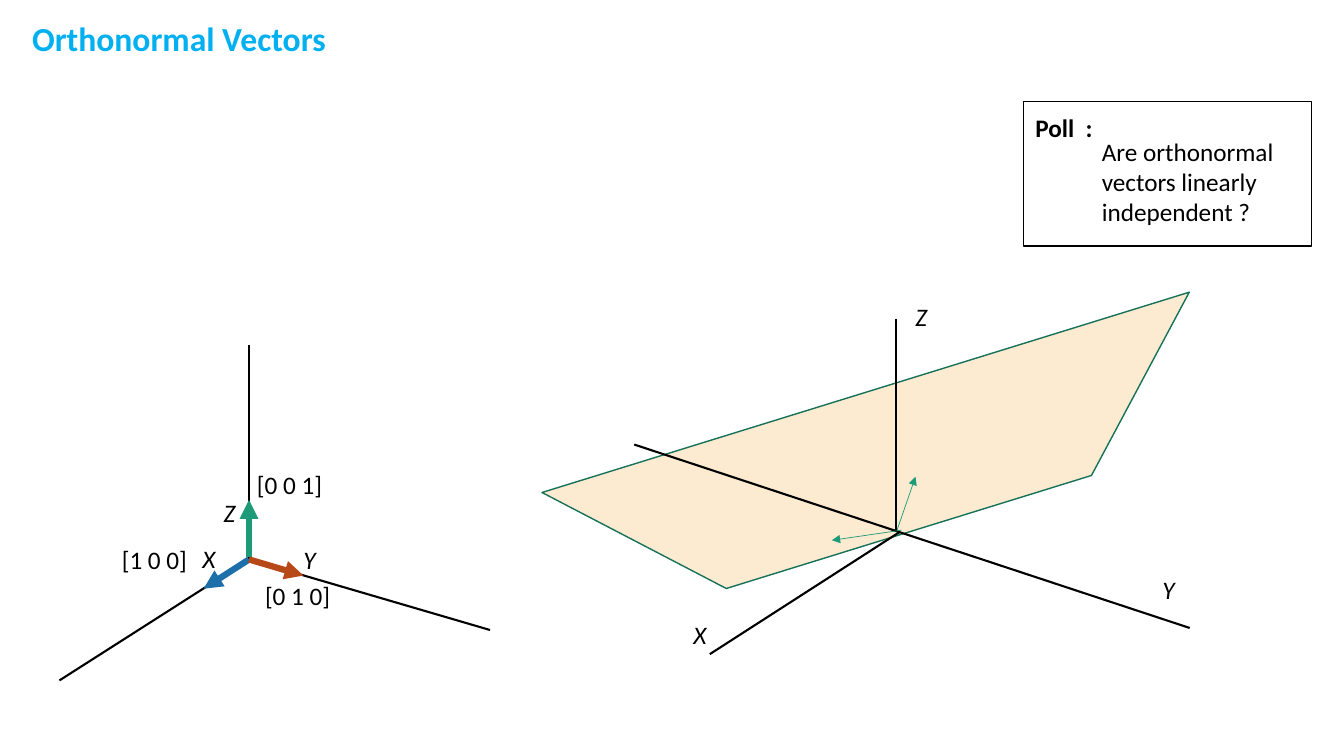
from dataclasses import dataclass

from lxml import etree
from pptx import Presentation
from pptx import util as u
from pptx.dml.color import RGBColor
from pptx.enum import shapes, text
from pptx.oxml import ns

SCALE = 9144  # EMU in one px, 100 px to the inch
BLACK = RGBColor(0x00, 0x00, 0x00)
SKY = RGBColor(0x00, 0xB0, 0xF0)
GREEN = RGBColor(0x1D, 0x9A, 0x78)
BLUE = RGBColor(0x1D, 0x6F, 0xA9)
RUST = RGBColor(0xB7, 0x49, 0x19)
CREAM = RGBColor(0xFC, 0xEB, 0xD1)
PINE = RGBColor(0x15, 0x72, 0x59)

BODY = {"name": "Calibri", "size": u.Pt(18)}
AXIS = BODY | {"italic": True}
BOLD = BODY | {"bold": True}
TITLE = BOLD | {"size": u.Pt(24)}


@dataclass
class Line:
    start: tuple[int, int]
    end: tuple[int, int]
    color: RGBColor = BLACK
    width: float = 1.5
    arrow: bool = False


@dataclass
class Label:
    words: str
    left: int
    top: int
    width: int
    style: dict
    height: int = 40
    color: RGBColor = BLACK


HUB = (247, 555)
UNIT_AXES = [
    Line((247, 342), HUB),
    Line(HUB, (59, 675)),
    Line(HUB, (486, 625)),
    Line((247, 553), (247, 496), GREEN, 4.5, True),
    Line(HUB, (202, 584), BLUE, 4.5, True),
    Line(HUB, (301, 571), RUST, 4.5, True),
]
PLANE_AXES = [
    Line((629, 441), (1180, 623)),
    Line((889, 528), (908, 473), GREEN, 0.5, True),
    Line((889, 316), (889, 528)),
    Line((892, 528), (704, 649)),
    Line((894, 526), (825, 536), GREEN, 0.5, True),
]
LABELS = [
    Label("Orthonormal Vectors", 22, 13, 750, TITLE, 50, SKY),
    Label("Z", 212, 488, 26, AXIS),
    Label("X", 191, 534, 33, AXIS),
    Label("Y", 291, 535, 33, AXIS),
    Label("[1 0 0]", 111, 535, 112, BODY),
    Label("[0 0 1]", 245, 461, 112, BODY),
    Label("[0 1 0]", 253, 571, 112, BODY),
    Label("X", 678, 609, 33, AXIS),
    Label("Y", 1143, 565, 33, AXIS),
    Label("Z", 898, 294, 33, AXIS),
    Label("Are orthonormal vectors linearly independent ?",
          1083, 130, 250, BODY, 101),
    Label("Poll  :", 1017, 107, 96, BOLD),
]


def px(*sizes: int) -> list[u.Emu]:
    return [u.Emu(size * SCALE) for size in sizes]


def draw_line(slide, line: Line) -> None:
    link = slide.shapes.add_connector(
        shapes.MSO_CONNECTOR.STRAIGHT, *px(*line.start, *line.end))
    link.line.color.rgb = line.color
    link.line.width = u.Pt(line.width)
    if line.arrow:
        etree.SubElement(link.line._get_or_add_ln(), ns.qn("a:tailEnd"),
                         type="triangle")
    etree.SubElement(link._element.spPr, ns.qn("a:effectLst"))


def draw_label(slide, label: Label) -> None:
    box = slide.shapes.add_textbox(
        *px(label.left, label.top, label.width, label.height))
    frame = box.text_frame
    frame.word_wrap = True
    frame.auto_size = text.MSO_AUTO_SIZE.SHAPE_TO_FIT_TEXT
    run = frame.paragraphs[0].add_run()
    run.text = label.words
    for key, value in label.style.items():
        setattr(run.font, key, value)
    run.font.color.rgb = label.color


def draw_shape(slide, kind, box: tuple[int, int, int, int], edge: RGBColor):
    """Add an unfilled preset shape with a thin outline."""
    shape = slide.shapes.add_shape(kind, *px(*box))
    shape.shadow.inherit = False
    shape.fill.background()
    shape.line.color.rgb = edge
    shape.line.width = u.Pt(1)
    return shape


def main() -> None:
    deck = Presentation()
    deck.slide_width, deck.slide_height = px(1333, 750)
    slide = deck.slides.add_slide(deck.slide_layouts[6])

    kinds = shapes.MSO_SHAPE
    plane = draw_shape(slide, kinds.TRAPEZOID, (544, 386, 672, 145), PINE)
    plane.adjustments[0] = 1.01
    plane.rotation = 162.8
    plane.fill.solid()
    plane.fill.fore_color.rgb = CREAM

    for line in UNIT_AXES + PLANE_AXES:
        draw_line(slide, line)
    draw_shape(slide, kinds.RECTANGLE, (1015, 101, 286, 143), BLACK)
    for label in LABELS:
        draw_label(slide, label)
    deck.save("out.pptx")


if __name__ == "__main__":
    main()
